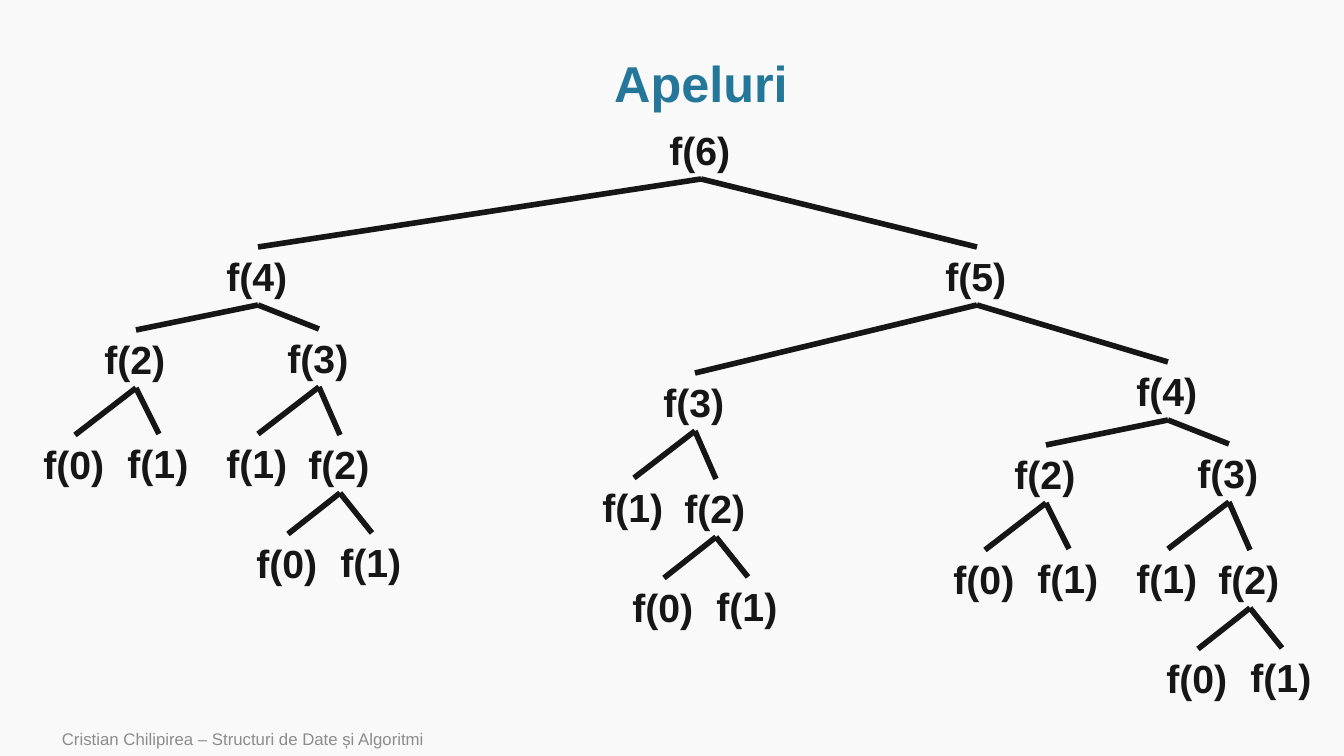
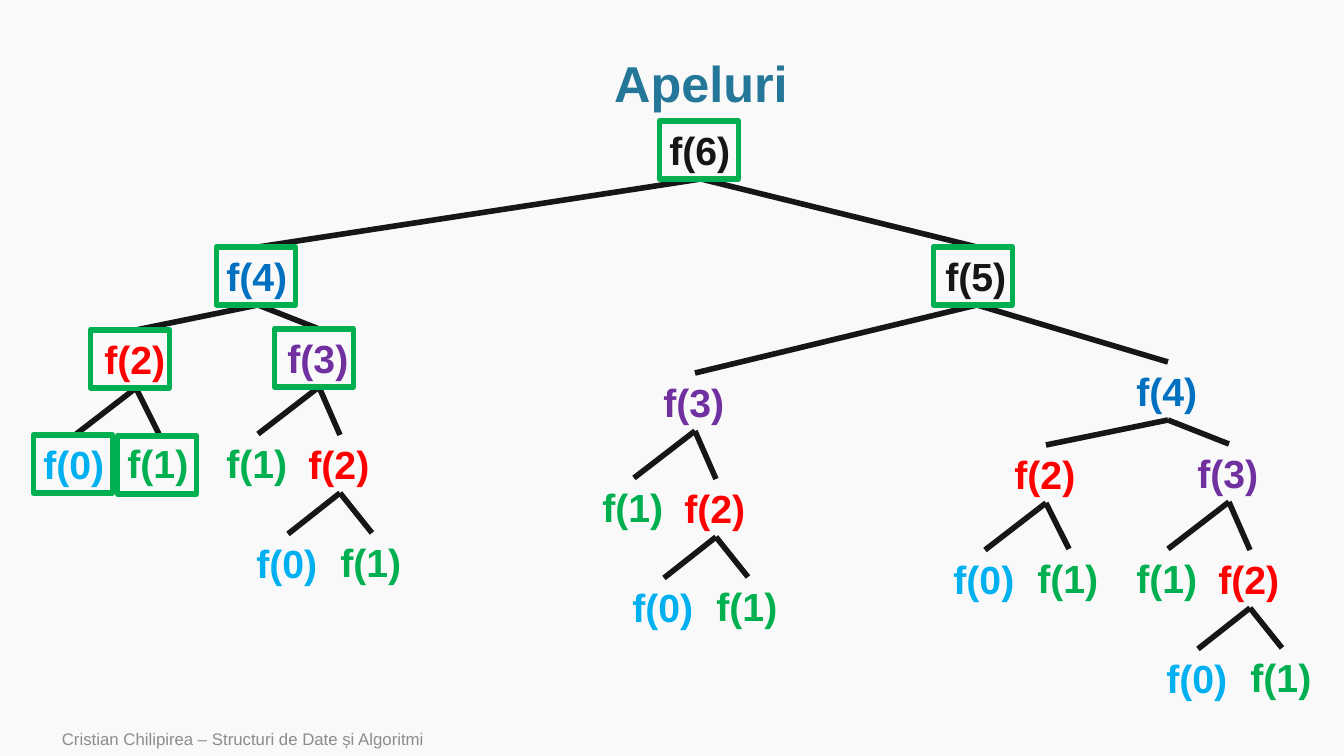
import pptx
import pptx.dml.color
import pptx.enum.shapes
import pptx.enum.text
import pptx.oxml.ns
import pptx.util
from lxml import etree

EMU_PER_PX = 12192000 / 1344
COLORS = {
    "background": "F9F9F9",
    "ink": "171616",
    "title": "247798",
    "footer": "8C8C8C",
    "computed": "00B050",
}
# Colour of each repeated call f(n)
CALL_COLORS = {0: "00B0F0", 1: "00B050", 2: "FF0000", 3: "7030A0", 4: "0070C0"}

# Offsets (x, y) from a call f(n) to f(n - 2) or f(n - 1), the smaller on the left
BRANCHES = {
    6: {4: (-443, 126), 5: (276, 126)},
    5: {3: (-282, 126), 4: (191, 115)},
    4: {2: (-122, 83), 3: (61, 82)},
    3: {1: (-61, 105), 2: (21, 106)},
    2: {0: (-61, 105), 1: (23, 104)},
}
# f(2) has closer branches when called from f(3)
NARROW_BRANCHES = {0: (-52, 99), 1: (32, 98)}
# Small shifts of the frames around first calls
FRAME_SHIFTS = {1: (0, 2), 2: (-4, 0), 3: (-3, 0), 5: (-2, 0)}

ROOT_X, ROOT_TOP = 701, 121
CALL_WIDTH, CALL_HEIGHT, FRAME_WIDTH = 83, 58, 79


def px(length):
    return pptx.util.Emu(round(length * EMU_PER_PX))


def rgb(hex_color):
    return pptx.dml.color.RGBColor.from_string(hex_color)


def write_text(frame, text, size, color, bold=False, align=None, spacing=None,
               anchor=pptx.enum.text.MSO_ANCHOR.TOP, wrap=True,
               fit=pptx.enum.text.MSO_AUTO_SIZE.NONE):
    frame.text = text
    frame.word_wrap = wrap
    frame.auto_size = fit
    frame.vertical_anchor = anchor
    paragraph = frame.paragraphs[0]
    paragraph.alignment = align
    paragraph.line_spacing = spacing
    font = paragraph.runs[0].font
    font.name = "Arial"
    font.size = pptx.util.Pt(size)
    font.bold = bold
    font.color.rgb = rgb(color)


class Deck:
    def __init__(self):
        self.prs = pptx.Presentation()
        self.prs.slide_width, self.prs.slide_height = px(1344), px(756)
        background = self.prs.slide_master.background.fill
        background.solid()
        background.fore_color.rgb = rgb(COLORS["background"])
        self.slide = None

    def add_slide(self, heading):
        self.slide = self.prs.slides.add_slide(self.prs.slide_layouts[5])
        self.textbox(52, 722, 847, 34, "Cristian Chilipirea – Structuri de Date și Algoritmi",
                     size=12, color=COLORS["footer"],
                     anchor=pptx.enum.text.MSO_ANCHOR.MIDDLE)
        title = self.slide.shapes.title
        title.left, title.top, title.width, title.height = map(px, (115, 51, 1172, 70))
        write_text(title.text_frame, heading, size=36, color=COLORS["title"], bold=True,
                   align=pptx.enum.text.PP_ALIGN.CENTER, spacing=0.9,
                   anchor=pptx.enum.text.MSO_ANCHOR.MIDDLE)

    def textbox(self, left, top, width, height, text, **text_format):
        box = self.slide.shapes.add_textbox(*map(px, (left, top, width, height)))
        write_text(box.text_frame, text, **text_format)

    def call(self, n, x, top, color):
        self.textbox(x - CALL_WIDTH / 2, top, CALL_WIDTH, CALL_HEIGHT, f"f({n})",
                     size=28, color=color, bold=True, wrap=False,
                     fit=pptx.enum.text.MSO_AUTO_SIZE.SHAPE_TO_FIT_TEXT)

    def branch(self, x1, y1, x2, y2):
        line = self.slide.shapes.add_connector(
            pptx.enum.shapes.MSO_CONNECTOR.STRAIGHT, *map(px, (x1, y1, x2, y2)))
        line.line.color.rgb = rgb(COLORS["ink"])
        line.line.width = pptx.util.Pt(4)
        etree.SubElement(line._element.spPr, pptx.oxml.ns.qn("a:effectLst"))

    def frame(self, n, x, top):
        shift_x, shift_y = FRAME_SHIFTS.get(n, (0, 0))
        frame = self.slide.shapes.add_shape(
            pptx.enum.shapes.MSO_SHAPE.RECTANGLE,
            *map(px, (x - CALL_WIDTH / 2 + shift_x, top + shift_y,
                      FRAME_WIDTH, CALL_HEIGHT)))
        frame.shadow.inherit = False
        frame.fill.background()
        frame.line.color.rgb = rgb(COLORS["computed"])
        frame.line.width = pptx.util.Pt(4)

    def call_tree(self, n, x, top, call_colors, first_calls, parent=None):
        """Draw f(n) and the calls below it, noting where each n is first called."""
        first_calls.setdefault(n, (x, top))
        self.call(n, x, top, call_colors.get(n, COLORS["ink"]))
        branches = NARROW_BRANCHES if (n, parent) == (2, 3) else BRANCHES.get(n, {})
        for child, (dx, dy) in branches.items():
            self.branch(x, top + CALL_HEIGHT, x + dx, top + dy)
            self.call_tree(child, x + dx, top + dy, call_colors, first_calls, parent=n)


def main():
    deck = Deck()

    # All calls
    deck.add_slide("Apeluri")
    deck.call_tree(6, ROOT_X, ROOT_TOP, {}, {})

    # Repeated calls in colour, first calls framed
    deck.add_slide("Apeluri")
    first_calls = {}
    deck.call_tree(6, ROOT_X, ROOT_TOP, CALL_COLORS, first_calls)
    for n, (x, top) in first_calls.items():
        deck.frame(n, x, top)

    deck.prs.save("out.pptx")


if __name__ == "__main__":
    main()
